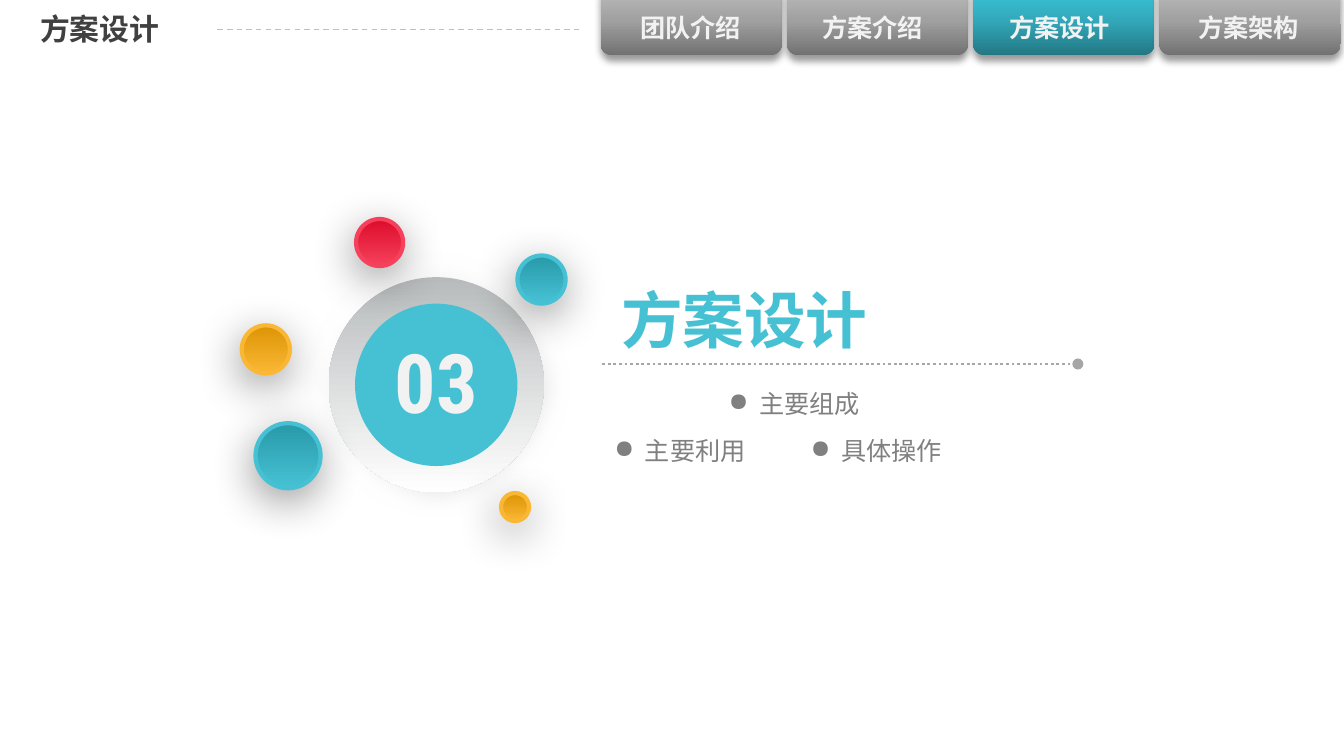
from pptx import Presentation
from pptx.dml.color import RGBColor
from pptx.enum.dml import MSO_LINE_DASH_STYLE as Dash
from pptx.enum.shapes import MSO_CONNECTOR, MSO_SHAPE as Shape
from pptx.enum.text import MSO_ANCHOR as Anchor, MSO_AUTO_SIZE as AutoSize, PP_ALIGN as Align
from pptx.oxml import parse_xml
from pptx.oxml.ns import nsdecls, qn
from pptx.util import Cm, Pt

SANS, DIGITS = "Noto Sans CJK SC", "Roboto Condensed"
WHITE = RGBColor(0xFF, 0xFF, 0xFF)
PALE = RGBColor(0xF2, 0xF2, 0xF2)
INK = RGBColor(0x40, 0x40, 0x40)
GREY = RGBColor(0x80, 0x80, 0x80)
RULE = RGBColor(0xA6, 0xA6, 0xA6)
HAIRLINE = RGBColor(0xBF, 0xBF, 0xBF)
HALO = RGBColor(0xD9, 0xD9, 0xD9)
RING = RGBColor(0xB8, 0xBB, 0xBC)
TEAL = RGBColor(0x46, 0xC1, 0xD3)
# Gradients, from first stop to last
TEAL_BALL = (RGBColor(0x28, 0x9A, 0xAA), TEAL)
AMBER_BALL = (RGBColor(0xDD, 0x94, 0x05), RGBColor(0xFA, 0xB7, 0x34))
RED_BALL = (RGBColor(0xDD, 0x0C, 0x2B), RGBColor(0xF5, 0x41, 0x5C))
GREY_TAB = (RGBColor(0x71, 0x71, 0x71), RGBColor(0xA1, 0xA1, 0xA1), HAIRLINE)
TEAL_TAB = (RGBColor(0x23, 0x77, 0x83), RGBColor(0x32, 0xA9, 0xBB), RGBColor(0x3B, 0xC9, 0xDE))

LINEAR = '<a:lin ang="{}" scaled="0"/>'
FROM_CORNER = '<a:path path="circle"><a:fillToRect l="100000" t="100000"/></a:path>'


def element(xml):
    """Parse one drawing element, adding the namespace to its first tag."""
    tag, rest = xml.split(" ", 1)
    return parse_xml(f"{tag} {nsdecls('a')} {rest}")


def add_plain(page, kind, left, top, width, height):
    shape = page.shapes.add_shape(kind, Cm(left), Cm(top), Cm(width), Cm(height))
    shape.shadow.inherit = False
    shape.line.fill.background()
    return shape


def set_gradient(shape, colours, direction):
    shape.fill.background()
    last = len(colours) - 1
    stops = "".join(
        f'<a:gs pos="{100000 * i // last}"><a:srgbClr val="{colour}"/></a:gs>'
        for i, colour in enumerate(colours))
    gradient = element(f'<a:gradFill rotWithShape="1"><a:gsLst>{stops}</a:gsLst>{direction}</a:gradFill>')
    props = shape._element.spPr
    props.replace(props.find(qn("a:noFill")), gradient)


def add_effect(shape, xml):
    shape._element.spPr.find(qn("a:effectLst")).append(element(xml))


def add_shadow(shape, blur, distance, angle):
    add_effect(shape, f'<a:outerShdw blurRad="{Pt(blur)}" dist="{Pt(distance)}" dir="{angle * 60000}" '
                      'algn="t" rotWithShape="0"><a:srgbClr val="000000">'
                      '<a:alpha val="40000"/></a:srgbClr></a:outerShdw>')


def add_rule(page, left, top, width, colour, weight, dash):
    rule = page.shapes.add_connector(
        MSO_CONNECTOR.STRAIGHT, Cm(left), Cm(top), Cm(left + width), Cm(top))
    rule.line.color.rgb = colour
    rule.line.width = Pt(weight)
    rule.line.dash_style = dash
    rule._element.spPr.append(element("<a:effectLst />"))
    return rule


def add_text(page, box, text, size, colour, bold=True, font=SANS, wrap=False, inset=None, bullet=False):
    left, top, width, height = box
    holder = page.shapes.add_textbox(Cm(left), Cm(top), Cm(width), Cm(height))
    frame = holder.text_frame
    frame.word_wrap = wrap
    frame.auto_size = AutoSize.SHAPE_TO_FIT_TEXT
    if inset:
        frame.margin_left = frame.margin_right = Cm(inset[0])
        frame.margin_top = frame.margin_bottom = Cm(inset[1])
    para = frame.paragraphs[0]
    if bullet:
        props = para._p.get_or_add_pPr()
        props.set("marL", str(Cm(0.58)))
        props.set("indent", str(-Cm(0.58)))
        props.append(element('<a:buChar char="●"/>'))
    span = para.add_run()
    span.text = text
    span.font.size = Pt(size)
    span.font.bold = bold
    span.font.color.rgb = colour
    span.font.name = font
    span.font._element.append(element(f'<a:ea typeface="{font}"/>'))
    return frame


def add_header(page, left, top):
    # Navigation tabs, hanging from above the top edge
    tabs = [("团队介绍", 0.51), ("方案介绍", 0.42), ("方案设计", 0.43), ("方案架构", 0.49)]
    current, first, step = 2, left + 11.35, 3.52
    for i in range(len(tabs)):
        tab = add_plain(page, Shape.ROUNDED_RECTANGLE, first + i * step, top - 0.3, 3.43, 1.35)
        set_gradient(tab, TEAL_TAB if i == current else GREY_TAB, LINEAR.format(270 * 60000))
        add_shadow(tab, 4, 3, 90)
    for i, (label, shift) in enumerate(tabs):
        add_text(page, (first + i * step + shift, top + 0.1, 2.41, 0.84), label, 13.5, PALE)

    # Page title with its dashed rule
    add_rule(page, left + 4.11, top + 0.56, 6.91, HAIRLINE, 0.75, Dash.DASH)
    frame = add_text(page, (left + 0.51, top + 0.23, 21.9, 0.69), "方案设计", 16, INK, wrap=True)
    frame.auto_size = AutoSize.NONE
    frame.vertical_anchor = Anchor.MIDDLE
    frame.paragraphs[0].line_spacing = 0.9


def add_badge(page, left, top):
    # Soft halo, ring and disk, one inside the other
    x, y, size = left + 1.12, top + 0.58, 5.11
    halo, ring, disk = [
        add_plain(page, kind, x + gap, y + gap, size - 2 * gap, size - 2 * gap)
        for kind, gap in ((Shape.OVAL, 0), (Shape.ROUNDED_RECTANGLE, 0.52), (Shape.OVAL, 1.02))]
    set_gradient(halo, (HALO, WHITE), FROM_CORNER)
    add_effect(halo, f'<a:softEdge rad="{Pt(12.5)}"/>')
    ring.adjustments[0] = 0.5
    set_gradient(ring, (RING, WHITE), LINEAR.format(90 * 60000))
    disk.fill.solid()
    disk.fill.fore_color.rgb = TEAL

    # Section number
    frame = add_text(page, (x + 1.45, y + 1.78, 2.21, 1.75), "03", 44, PALE, font=DIGITS, wrap=True)
    frame.paragraphs[0].alignment = Align.CENTER
    frame.paragraphs[0].line_spacing = 0.8

    # Floating balls
    balls = [(0.26, 3.86, 1.23, TEAL_BALL), (0, 2.01, 0.91, AMBER_BALL), (2.16, 0, 0.89, RED_BALL),
             (5.21, 0.69, 0.91, TEAL_BALL), (4.9, 5.18, 0.53, AMBER_BALL)]
    for dx, dy, diameter, colours in balls:
        ball = add_plain(page, Shape.OVAL, left + dx, top + dy, diameter, diameter)
        set_gradient(ball, colours, LINEAR.format(90 * 60000))
        ball.line.color.rgb = colours[-1]
        ball.line.width = Pt(2.25)
        add_shadow(ball, 24, 6, 100)


def add_section(page, left, top):
    # Dotted rule ending in a dot
    rule = add_rule(page, left, top + 1.65, 8.99, RULE, 1.5, Dash.ROUND_DOT)
    rule.line._get_or_add_ln().append(element('<a:tailEnd type="oval"/>'))

    # Section title and its topics
    inset = (0.18, 0.1)
    add_text(page, (left + 0.18, top, 5.03, 1.6), "方案设计", 33, TEAL, inset=inset)
    topics = [("主要组成", 2.21, 2.01), ("主要利用", 0.05, 2.9), ("具体操作", 3.76, 2.9)]
    for topic, dx, dy in topics:
        add_text(page, (left + dx, top + dy, 2.87, 0.76), topic, 13.5, GREY,
                 bold=False, inset=inset, bullet=True)


def main():
    deck = Presentation()
    deck.slide_width, deck.slide_height = Cm(25.4), Cm(14.29)
    page = deck.slides.add_slide(deck.slide_layouts[6])
    add_header(page, 0, 0)
    add_badge(page, 4.57, 4.14)
    add_section(page, 11.38, 5.23)
    deck.save("out.pptx")


if __name__ == "__main__":
    main()
